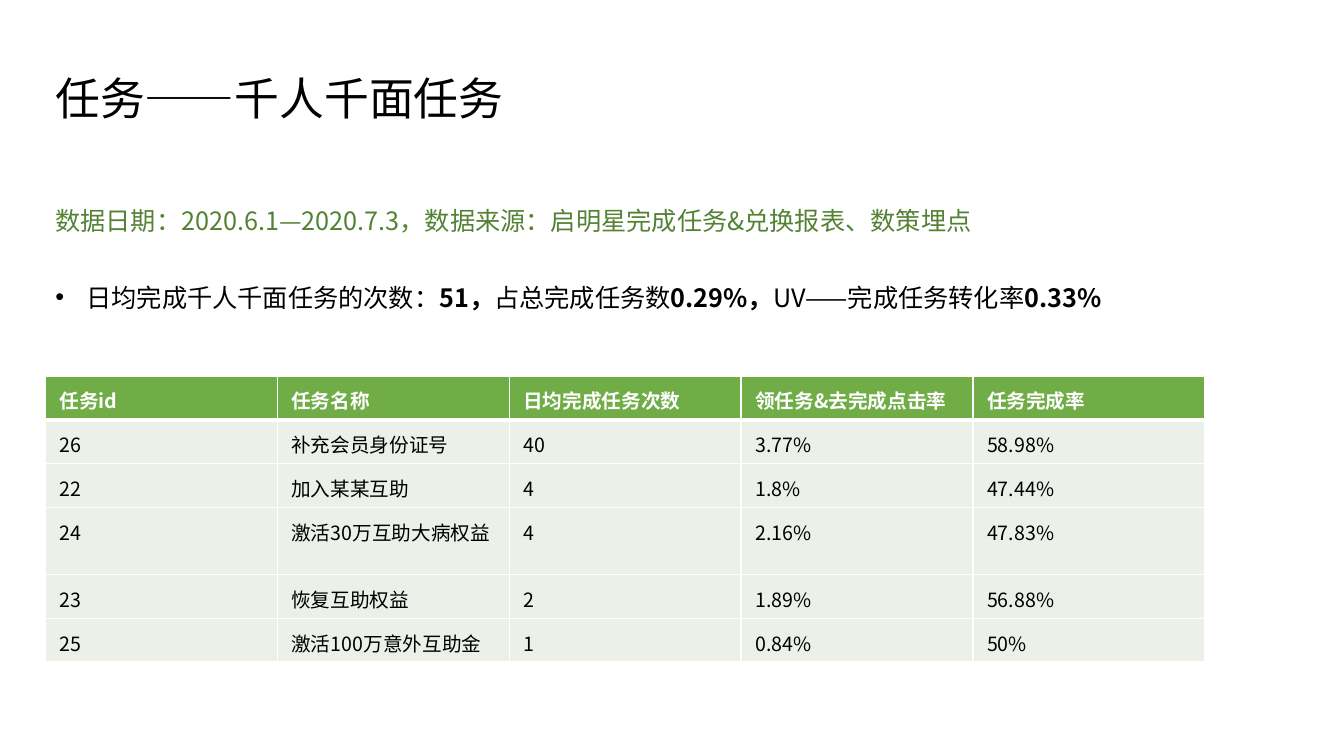
from dataclasses import dataclass

from lxml import etree
from pptx import Presentation
from pptx.dml.color import RGBColor
from pptx.enum.text import MSO_AUTO_SIZE
from pptx.oxml.ns import qn
from pptx.util import Emu, Inches, Pt

FIT_SHAPE = MSO_AUTO_SIZE.SHAPE_TO_FIT_TEXT


@dataclass(frozen=True)
class Theme:
    font: str = "Noto Sans CJK SC"
    ink: str = "000000"
    white: str = "FFFFFF"
    note: str = "548235"
    header: str = "70AD47"
    body: str = "EBF1E9"
    title_size: int = 32
    text_size: int = 18
    table_size: int = 14


THEME = Theme()

TITLE = [("任务——千人千面任务", False)]
SOURCE = [("数据日期：2020.6.1—2020.7.3，数据来源：启明星完成任务&兑换报表、数策埋点", False)]
SUMMARY = [
    ("日均完成千人千面任务的次数：", False),
    ("51，", True),
    ("占总完成任务数", False),
    ("0.29%，", True),
    ("UV——完成任务转化率", False),
    ("0.33%", True),
]
TASKS = [
    ("任务id", "任务名称", "日均完成任务次数", "领任务&去完成点击率", "任务完成率"),
    ("26", "补充会员身份证号", "40", "3.77%", "58.98%"),
    ("22", "加入某某互助", "4", "1.8%", "47.44%"),
    ("24", "激活30万互助大病权益", "4", "2.16%", "47.83%"),
    ("23", "恢复互助权益", "2", "1.89%", "56.88%"),
    ("25", "激活100万意外互助金", "1", "0.84%", "50%"),
]


def box(left, top, width, height):
    return Inches(left), Inches(top), Inches(width), Inches(height)


def write(p, runs, size, color):
    p.font.size = Pt(size)
    p.font.color.rgb = RGBColor.from_string(color)
    p.font.name = THEME.font
    defaults = p._p.get_or_add_pPr().find(qn("a:defRPr"))
    etree.SubElement(defaults, qn("a:ea"), typeface=THEME.font)
    for text, bold in runs:
        r = p.add_run()
        r.text = text
        r.font.bold = bold


def add_bullet(p, indent):
    pPr = p._p.get_or_add_pPr()
    pPr.set("marL", str(indent))
    pPr.set("indent", str(-indent))
    bullet = etree.Element(qn("a:buChar"), char="•")
    pPr.insert(0, bullet)
    font = etree.Element(qn("a:buFont"), typeface="Arial")
    pPr.insert(0, font)


def add_text(s, area, runs, size, color, wrap=True):
    tf = s.shapes.add_textbox(*area).text_frame
    tf.word_wrap = wrap
    tf.auto_size = FIT_SHAPE
    p = tf.paragraphs[0]
    write(p, runs, size, color)
    return p


def set_borders(cell, widths):
    tcPr = cell._tc.get_or_add_tcPr()
    for i, (side, width) in enumerate(widths.items()):
        line = etree.Element(qn(f"a:ln{side}"), w=str(Pt(width)))
        fill = etree.SubElement(line, qn("a:solidFill"))
        etree.SubElement(fill, qn("a:srgbClr"), val=THEME.white)
        tcPr.insert(i, line)


def add_task_table(s, area, rows):
    left, top, width, height = area
    table = s.shapes.add_table(len(rows), len(rows[0]), *area).table
    table.horz_banding = False
    for column in table.columns:
        column.width = Emu(width // len(rows[0]))
    for i, row in enumerate(rows):
        table.rows[i].height = Emu(height // len(rows))
        is_header = i == 0
        for j, text in enumerate(row):
            cell = table.cell(i, j)
            cell.margin_left = cell.margin_right = Inches(0.14)
            cell.margin_top = cell.margin_bottom = Inches(0.1)
            cell.fill.solid()
            cell.fill.fore_color.rgb = RGBColor.from_string(
                THEME.header if is_header else THEME.body)
            set_borders(cell, {"L": 1, "R": 1,
                               "T": 3 if i == 1 else 1,
                               "B": 3 if is_header else 1})
            write(cell.text_frame.paragraphs[0], [(text, is_header)],
                  THEME.table_size, THEME.white if is_header else THEME.ink)


def build_task_slide(prs):
    s = prs.slides.add_slide(prs.slide_layouts[6])
    left = 0.45
    add_text(s, box(left, 0.65, 4.69, 0.64), TITLE, THEME.title_size, THEME.ink, wrap=False)
    add_text(s, box(left, 1.99, 11.1, 0.4), SOURCE, THEME.text_size, THEME.note)
    summary = add_text(s, box(left, 2.75, 11.27, 0.4), SUMMARY, THEME.text_size, THEME.ink)
    add_bullet(summary, Inches(0.31))
    add_task_table(s, box(left, 3.73, 11.5, 2.57), TASKS)


def main():
    prs = Presentation()
    prs.slide_width = Inches(13.33)
    prs.slide_height = Inches(7.5)
    build_task_slide(prs)
    prs.save("out.pptx")


if __name__ == "__main__":
    main()
